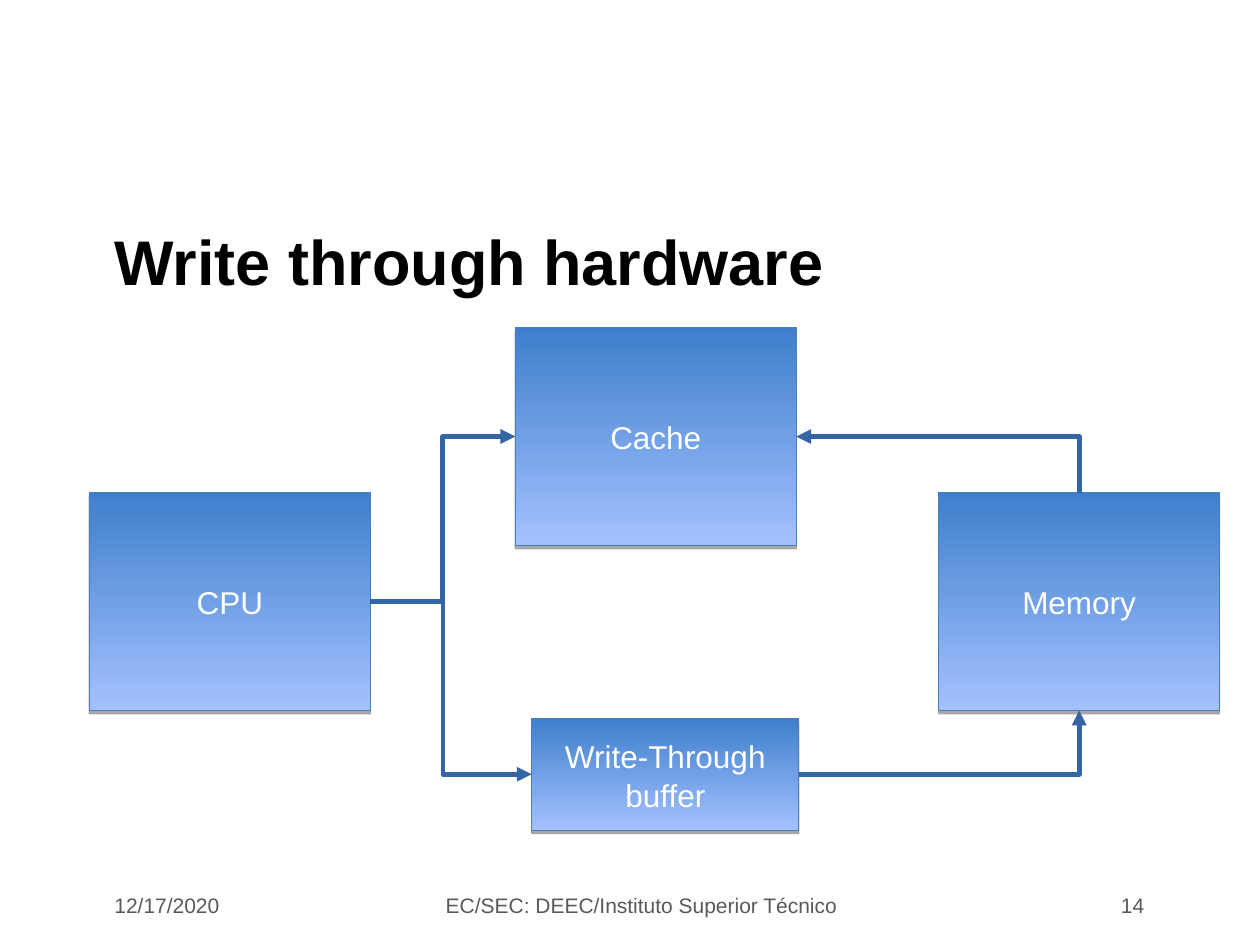
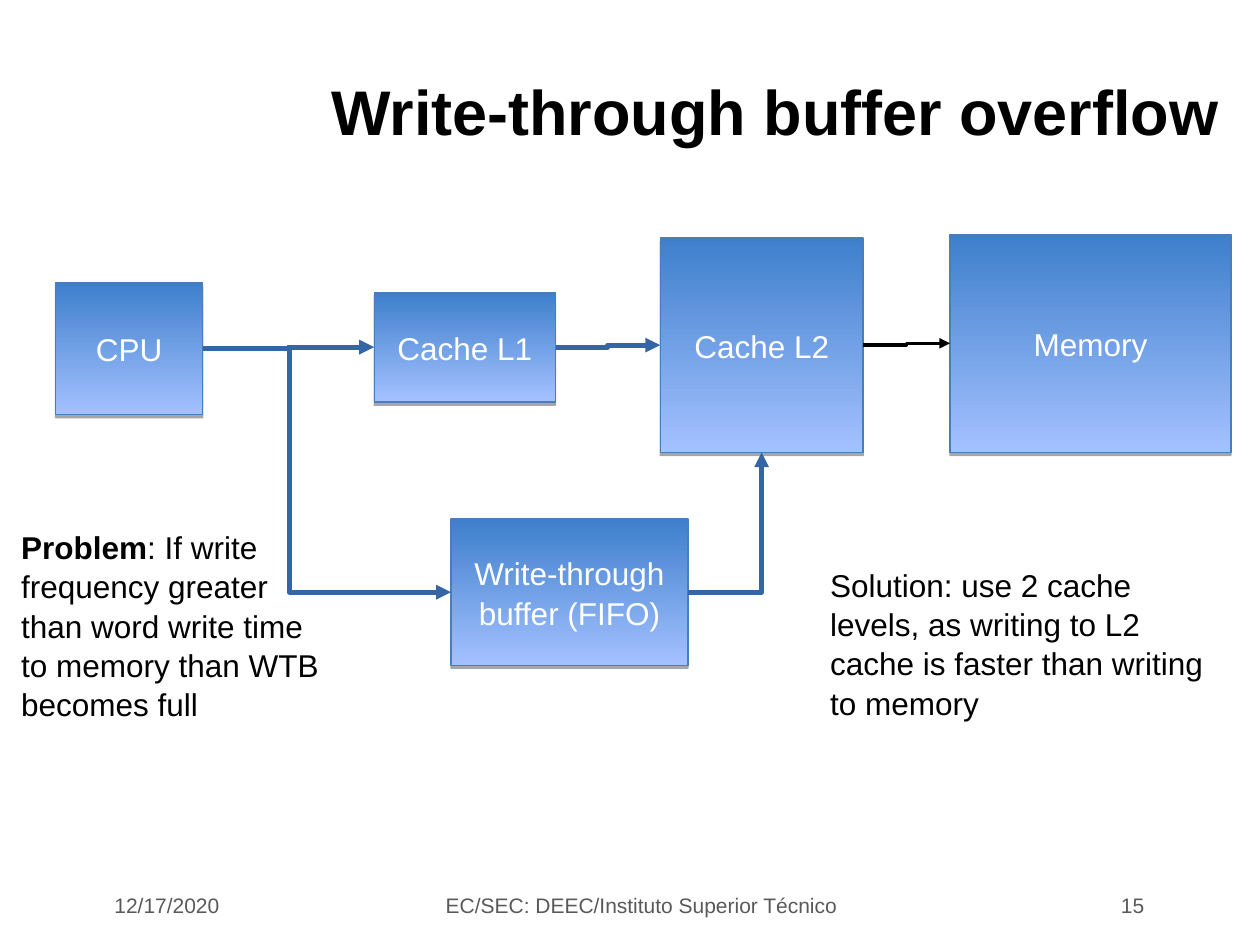
"""Build two slides on write-through cache hardware."""
from lxml import etree
from pptx import Presentation
from pptx.dml.color import RGBColor
from pptx.enum import shapes, text
from pptx.oxml import ns
from pptx.util import Inches, Pt

FONT = "Arial"
BLACK = RGBColor(0, 0, 0)
WHITE = RGBColor(255, 255, 255)
GRAY = RGBColor(0x59, 0x59, 0x59)
TOP = RGBColor(0x3E, 0x7F, 0xCC)
BASE = RGBColor(0xA4, 0xC1, 0xFF)
EDGE = RGBColor(0x4A, 0x7E, 0xBB)
WIRE = RGBColor(0x34, 0x65, 0xA4)
LEFT, MID, RIGHT = text.PP_ALIGN.LEFT, text.PP_ALIGN.CENTER, text.PP_ALIGN.RIGHT
CENTER = text.MSO_ANCHOR.MIDDLE
BLOCK = (2.23, 1.73)
UP, DOWN, WEST, EAST = 0, 2, 1, 3


def sub(node, tag, **attrs):
    """Append a drawing element to a node."""
    return etree.SubElement(node, ns.qn(tag), attrs)


def write(shape, runs, size, color, align=LEFT, space=None):
    """Fill a shape with one paragraph of (words, bold) runs."""
    shape.text_frame.word_wrap = True
    para = shape.text_frame.paragraphs[0]
    para.alignment = align
    para.line_spacing = space
    for words, bold in runs:
        run = para.add_run()
        run.text = words
        run.font.name = FONT
        run.font.size = Pt(size)
        run.font.bold = bold
        run.font.color.rgb = color


def start(deck, title, left, top, number):
    """Add a slide with its title and footer line."""
    slide = deck.slides.add_slide(deck.slide_layouts[5])
    head = slide.shapes.title
    head.left, head.top = Inches(left), Inches(top)
    head.width, head.height = Inches(8.37), Inches(0.95)
    head.text_frame.vertical_anchor = CENTER
    write(head, [(title, True)], 36, BLACK)
    feet = [(0.81, 2.02, "12/17/2020", LEFT),
            (3.42, 3.39, "EC/SEC: DEEC/Instituto Superior Técnico ", MID),
            (7.18, 2, str(number), RIGHT)]
    for x, width, words, align in feet:
        foot = slide.shapes.add_textbox(Inches(x), Inches(7.01), Inches(width), Inches(0.34))
        foot.text_frame.vertical_anchor = CENTER
        write(foot, [(words, False)], 12, GRAY, align)
    return slide


def block(slide, words, left, top, width, height):
    """Add a shaded hardware block."""
    rect = slide.shapes.add_shape(shapes.MSO_SHAPE.RECTANGLE, Inches(left), Inches(top),
                                  Inches(width), Inches(height))
    rect.fill.gradient()
    rect.fill.gradient_angle = 270
    for stop, color in zip(rect.fill.gradient_stops, (TOP, BASE)):
        stop.color.rgb = color
    rect.line.color.rgb = EDGE
    rect.line.width = Pt(0.75)
    rect.shadow.inherit = False
    effects = rect._element.spPr.find(ns.qn("a:effectLst"))
    shade = sub(effects, "a:outerShdw", blurRad="0", dist=str(Pt(1.8)),
                dir="5400000", rotWithShape="0")
    sub(sub(shade, "a:srgbClr", val="000000"), "a:alpha", val="35000")
    rect.text_frame.vertical_anchor = CENTER
    write(rect, [(words, False)], 18, WHITE, MID, 1.04)
    return rect


def wire(slide, first, out, last, into, bend=0.5, end="a:tailEnd", color=WIRE, width=2.83):
    """Join two blocks with an elbow arrow, one corner if it enters vertically."""
    link = slide.shapes.add_connector(shapes.MSO_CONNECTOR.ELBOW, 0, 0, 0, 0)
    link.begin_connect(first, out)
    link.end_connect(last, into)
    link.line.color.rgb = color
    link.line.width = Pt(width)
    props = link._element.spPr
    sub(link.line._get_or_add_ln(), end, type="triangle")
    sub(props, "a:effectLst")
    geom = props.find(ns.qn("a:prstGeom"))
    if into in (UP, DOWN):
        geom.set("prst", "bentConnector2")
    else:
        sub(geom.find(ns.qn("a:avLst")), "a:gd", name="adj1", fmla=f"val {round(bend * 100000)}")


def note(slide, runs, left, top, width, height):
    """Add a remark beside the diagram."""
    box = slide.shapes.add_textbox(Inches(left), Inches(top), Inches(width), Inches(height))
    write(box, runs, 18, BLACK, space=1.04)


def basic(deck):
    """Build the slide on write-through hardware."""
    slide = start(deck, "Write through hardware", 0.81, 1.59, 14)
    cpu = block(slide, "CPU", 0.71, 3.91, *BLOCK)
    memory = block(slide, "Memory", 7.45, 3.91, *BLOCK)
    cache = block(slide, "Cache", 4.09, 2.6, *BLOCK)
    buffer = block(slide, "Write-Through buffer", 4.22, 5.7, 2.12, 0.89)
    wire(slide, cpu, EAST, cache, WEST)
    wire(slide, cache, EAST, memory, UP, end="a:headEnd")
    wire(slide, buffer, EAST, memory, DOWN)
    wire(slide, cpu, EAST, buffer, WEST, 0.45)


def overflow(deck):
    """Build the slide on buffer overflow."""
    slide = start(deck, "Write-through buffer overflow", 2.53, 0.4, 15)
    cpu = block(slide, "CPU", 0.44, 2.24, 1.17, 1.05)
    memory = block(slide, "Memory", 7.54, 1.86, *BLOCK)
    near = block(slide, "Cache L1", 2.97, 2.32, 1.44, 0.87)
    buffer = block(slide, "Write-through buffer (FIFO)", 3.58, 4.12, 1.88, 1.16)
    far = block(slide, "Cache L2", 5.24, 1.89, 1.61, 1.7)
    note(slide, [("Problem", True),
                 (": If write frequency greater than word write time to memory "
                  "than WTB becomes full", False)], 0.07, 4.13, 2.7, 1.9)
    note(slide, [("Solution: use 2 cache levels, as writing to L2 cache is faster "
                  "than writing to memory", False)], 6.49, 4.43, 3.31, 1.3)
    wire(slide, far, EAST, memory, WEST, color=BLACK, width=0)
    wire(slide, cpu, EAST, near, WEST)
    wire(slide, near, EAST, far, WEST)
    wire(slide, buffer, EAST, far, DOWN)
    wire(slide, cpu, EAST, buffer, WEST, 0.35)


def main():
    """Build and save the deck."""
    deck = Presentation()
    deck.slide_width, deck.slide_height = Inches(10), Inches(7.5)
    basic(deck)
    overflow(deck)
    deck.save("out.pptx")


if __name__ == "__main__":
    main()
